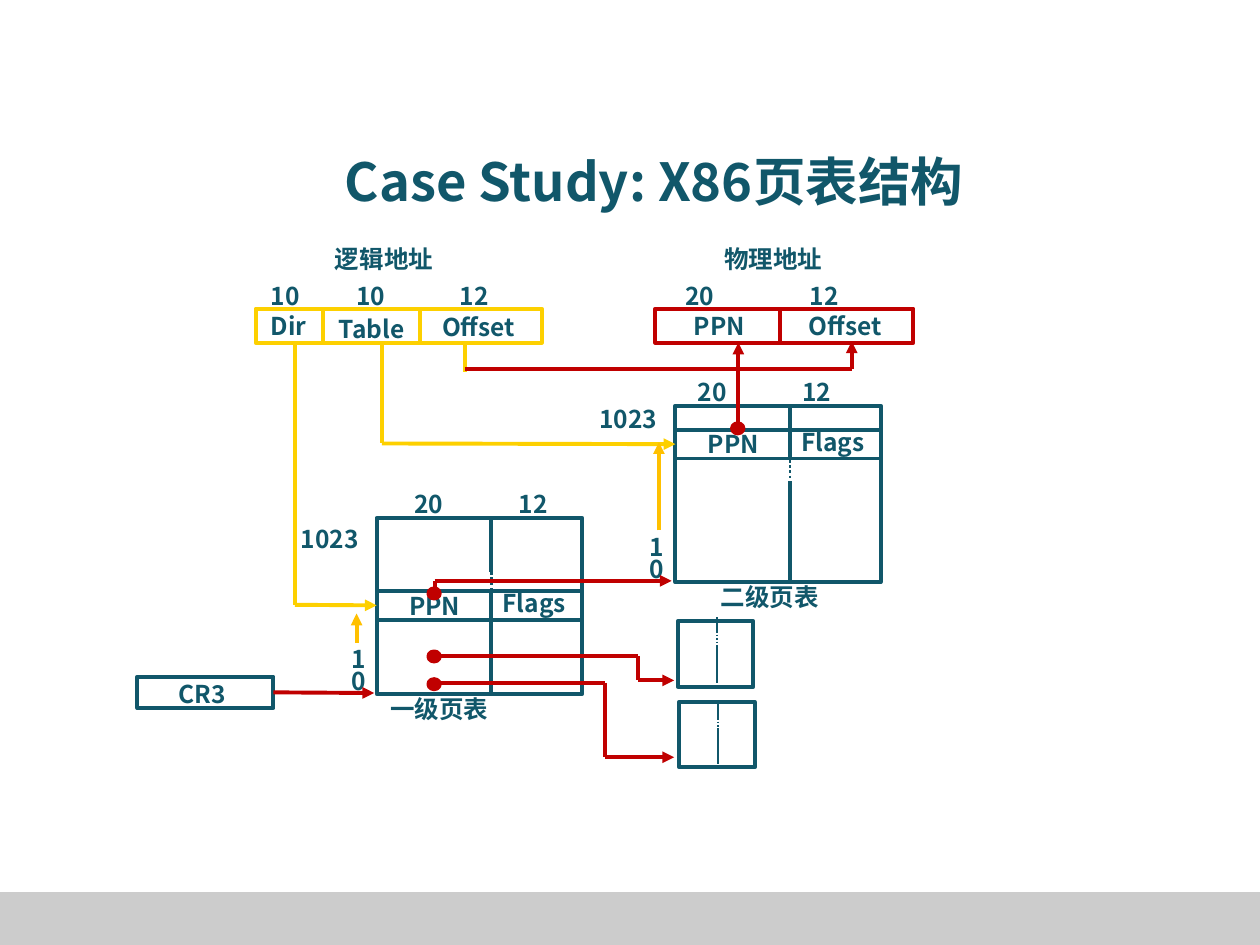
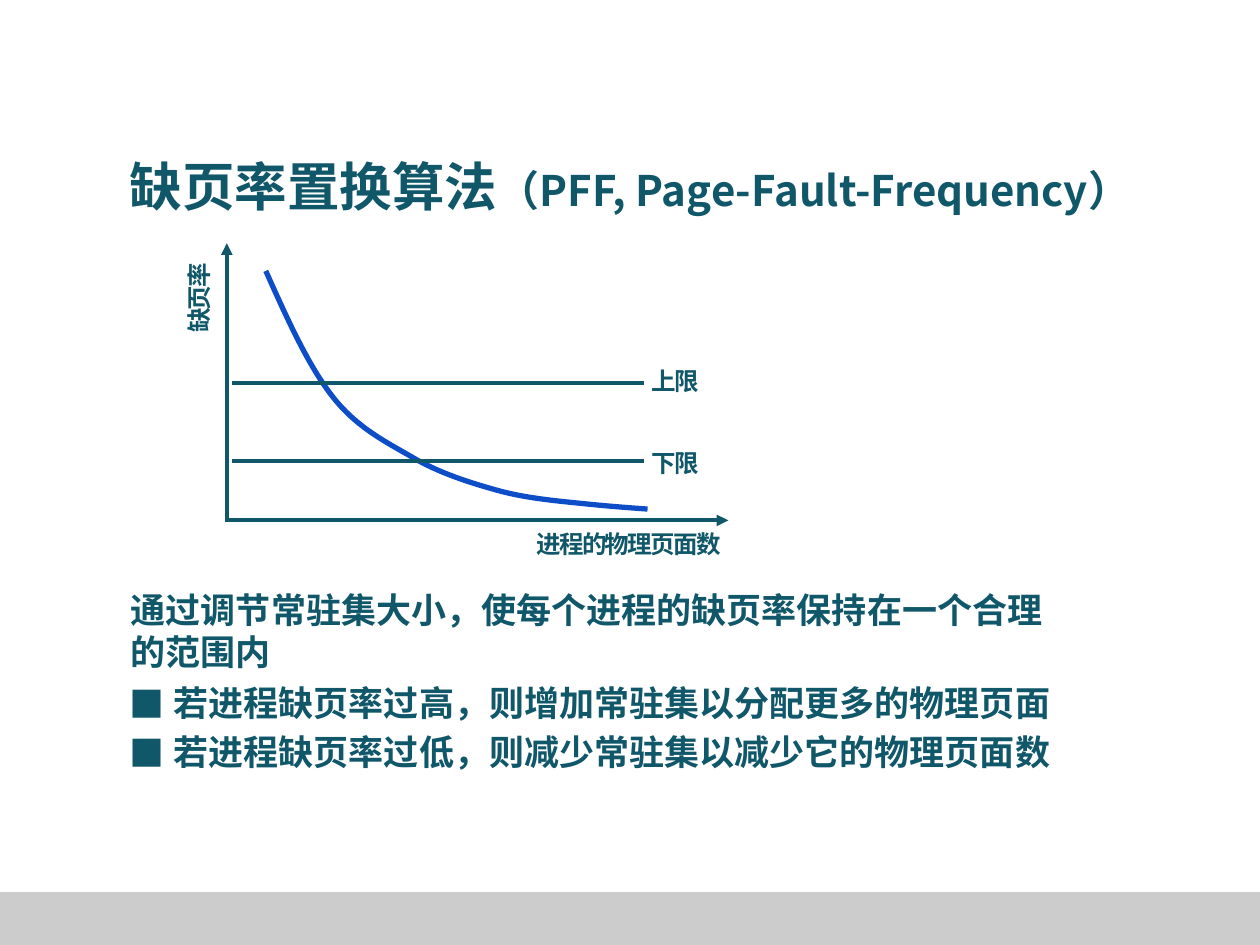
import pptx
import pptx.dml.color
import pptx.enum.dml
import pptx.enum.shapes
import pptx.enum.text
import pptx.oxml.ns
import pptx.util
from lxml import etree

Inches = pptx.util.Inches
Pt = pptx.util.Pt
RGBColor = pptx.dml.color.RGBColor
SHAPES = pptx.enum.shapes.MSO_SHAPE
qn = pptx.oxml.ns.qn

TEAL = RGBColor(0x11, 0x57, 0x6A)
RED = RGBColor(0xC0, 0x00, 0x00)
YELLOW = RGBColor(0xFD, 0xD0, 0x00)
AMBER = RGBColor(0xFF, 0xC0, 0x00)
BLUE = RGBColor(0x0E, 0x4D, 0xC8)
GREY = RGBColor(0xCC, 0xCC, 0xCC)
FONT = "Noto Sans CJK SC"
BULLET_FONT = "Noto Sans CJK JP"

# Width of each label's text box, in inches
LABEL_WIDTHS = {
    "1": 0.32, "0": 0.32, "10": 0.44, "12": 0.44, "20": 0.44,
    "Dir": 0.5, "PPN": 0.63, "Flags": 0.71, "Table": 0.72, "Offset": 0.81,
    "1023": 1.02, "CR3": 1.02, "二级页表": 1.88, "一级页表": 2.22,
    "逻辑地址": 2.22, "物理地址": 2.39,
    "上限": 0.58, "下限": 0.58, "缺页率": 0.44, "进程的物理页面数": 1.69,
}


class Painter:
    """Holds the shared style and draws on the current page."""

    def __init__(self, deck):
        self.deck = deck
        self.page = None

    def new_page(self, title, left, top, width, height, line_spacing=1.0):
        """title is a list of (text, size) pairs."""
        self.page = self.deck.slides.add_slide(self.deck.slide_layouts[5])
        self.box(0, 7.08, 10, 0.42, fill=GREY)
        holder = self.page.shapes.title
        holder.left, holder.top = Inches(left), Inches(top)
        holder.width, holder.height = Inches(width), Inches(height)
        frame = holder.text_frame
        frame.auto_size = pptx.enum.text.MSO_AUTO_SIZE.NONE
        frame.vertical_anchor = pptx.enum.text.MSO_ANCHOR.TOP
        para = frame.paragraphs[0]
        para.alignment = pptx.enum.text.PP_ALIGN.CENTER
        para.line_spacing = line_spacing
        for words, size in title:
            span = para.add_run()
            span.text = words
            self.style(span, size)

    def style(self, span, size, spacing=None):
        span.font.size = Pt(size)
        span.font.bold = True
        span.font.name = FONT
        span.font.color.rgb = TEAL
        properties = span.font._element
        etree.SubElement(properties, qn("a:ea")).set("typeface", FONT)
        if spacing is not None:
            properties.set("spc", str(spacing * 100))

    def text(self, words, left, top, width, height, size, wrap=True, spacing=None):
        box = self.page.shapes.add_textbox(
            Inches(left), Inches(top), Inches(width), Inches(height))
        frame = box.text_frame
        frame.word_wrap = wrap
        frame.text = words
        self.style(frame.paragraphs[0].runs[0], size, spacing)
        return frame

    def label(self, words, left, top, height=0.34, spacing=None):
        width = LABEL_WIDTHS[words]
        wrap = width > 1 and spacing is None
        return self.text(words, left, top, width, height, 14, wrap, spacing)

    def bullet(self, words, left, top, width, height):
        frame = self.text(words, left, top, width, height, 20)
        properties = frame.paragraphs[0]._p.get_or_add_pPr()
        indent = Inches(0.35)
        properties.set("marL", str(indent))
        properties.set("indent", str(-indent))
        etree.SubElement(properties, qn("a:buFont")).set("typeface", BULLET_FONT)
        etree.SubElement(properties, qn("a:buChar")).set("char", "■")

    def box(self, left, top, width, height, line=None, fill=None, kind=SHAPES.RECTANGLE):
        shape = self.page.shapes.add_shape(
            kind, Inches(left), Inches(top), Inches(width), Inches(height))
        shape.shadow.inherit = False
        if fill is None:
            shape.fill.background()
        else:
            shape.fill.solid()
            shape.fill.fore_color.rgb = fill
        if line is None:
            shape.line.fill.background()
        else:
            shape.line.color.rgb = line
            shape.line.width = Pt(2.25)
        return shape

    def dot(self, left, top):
        self.box(left, top, 0.09, 0.08, RED, RED, SHAPES.OVAL)

    def line(self, start, end, color=TEAL, width=2.25, arrow=False, dotted=False):
        line = self.page.shapes.add_connector(
            pptx.enum.shapes.MSO_CONNECTOR.STRAIGHT,
            Inches(start[0]), Inches(start[1]), Inches(end[0]), Inches(end[1]))
        line.line.color.rgb = color
        line.line.width = Pt(width)
        if dotted:
            line.line.dash_style = pptx.enum.dml.MSO_LINE.ROUND_DOT
        if arrow:
            outline = line.line._get_or_add_ln()
            etree.SubElement(outline, qn("a:tailEnd")).set("type", "triangle")
        etree.SubElement(line._element.spPr, qn("a:effectLst"))
        return line

    def route(self, points, color):
        """Draws legs through the points, the last one with an arrowhead."""
        last = len(points) - 2
        legs = [self.line(start, end, color, arrow=index == last)
                for index, (start, end) in enumerate(zip(points, points[1:]))]
        return legs[-1]

    def split_line(self, x, stops, width, dot_width):
        """Draws a vertical rule whose middle part is dotted."""
        for index, (top, bottom) in enumerate(zip(stops, stops[1:])):
            dotted = index == 1
            self.line((x, top), (x, bottom), TEAL,
                      dot_width if dotted else width, dotted=dotted)

    def curve(self, points, color, width):
        """Draws cubic segments: a start, then three points for each segment."""
        builder = self.page.shapes.build_freeform(
            Inches(points[0][0]), Inches(points[0][1]))
        builder.add_line_segments(
            [(Inches(x), Inches(y)) for x, y in points[1:]], close=False)
        shape = builder.convert_to_shape()
        outline = next(shape._element.iter(qn("a:path")))
        legs = outline.findall(qn("a:lnTo"))
        for first in range(0, len(legs), 3):
            segment = etree.SubElement(outline, qn("a:cubicBezTo"))
            for leg in legs[first:first + 3]:
                segment.append(leg[0])
                outline.remove(leg)
        shape.shadow.inherit = False
        shape.fill.background()
        shape.line.color.rgb = color
        shape.line.width = Pt(width)

    def address(self, left, width, dividers, color, fields):
        """Draws an address; fields are (bits, bits left, name, name left, name top)."""
        self.box(left, 2.45, width, 0.27, color)
        for x in dividers:
            self.line((x, 2.46), (x, 2.72), color)
        for bits, bits_left, name, name_left, name_top in fields:
            self.label(bits, bits_left, 2.18)
            self.label(name, name_left, name_top)

    def page_table(self, left, top, row_top, bits_left, index_top, caption, caption_left):
        """Draws a page table and returns its highlighted entry."""
        self.box(left, top, 1.63, 1.4, TEAL)
        entry = self.box(left, row_top, 1.63, 0.23, TEAL)
        self.split_line(left + 0.91, [top + step for step in (0, 0.43, 0.6, 1.4)], 2.25, 1.5)
        self.label("20", bits_left, top - 0.28)
        self.label("12", bits_left + 0.83, top - 0.28)
        self.label("PPN", left + 0.16, row_top - 0.05)
        self.label("Flags", left + 0.9, row_top - 0.07)
        self.label("1023", left - 0.7, index_top)
        for digit, drop in (("1", 0.95), ("0", 1.13)):
            self.label(digit, left - 0.3, top + drop)
        self.label(caption, caption_left, top + 1.35)
        return entry


def draw_page_tables(painter):
    painter.new_page([("Case Study: X86页表结构", 30)], 1.87, 1.17, 6.64, 0.58, 0.95)

    # Logical and physical addresses
    painter.label("逻辑地址", 2.56, 1.89)
    painter.address(2.03, 2.27, (2.56, 3.33), YELLOW, [
        ("10", 2.05, "Dir", 2.05, 2.42),
        ("10", 2.73, "Table", 2.59, 2.44),
        ("12", 3.55, "Offset", 3.41, 2.43)])
    painter.label("物理地址", 5.65, 1.89)
    painter.address(5.2, 2.05, (6.19,), RED, [
        ("20", 5.34, "PPN", 5.41, 2.42),
        ("12", 6.33, "Offset", 6.32, 2.42)])

    # Both levels of page tables and the CR3 register
    second_entry = painter.page_table(5.36, 3.22, 3.41, 5.44, 3.16, "二级页表", 5.62)
    first_entry = painter.page_table(2.99, 4.11, 4.69, 3.19, 4.11, "一级页表", 3.0)
    register = painter.box(1.09, 5.37, 1.08, 0.25, TEAL)
    painter.label("CR3", 1.32, 5.34)

    # Further second-level tables
    for left, top, stops in ((5.38, 4.93, (4.9, 5.01, 5.13, 5.42)),
                             (5.39, 5.57, (5.59, 5.7, 5.78, 6.06))):
        painter.box(left, top, 0.6, 0.52, TEAL)
        painter.split_line(left + 0.31, stops, 1, 1)

    # Logical address to table entries
    painter.route([(3.03, 2.71), (3.03, 3.52), (5.36, 3.52)], YELLOW).end_connect(second_entry, 1)
    painter.route([(2.34, 2.72), (2.34, 4.8), (2.99, 4.8)], YELLOW).end_connect(first_entry, 1)
    painter.route([(2.83, 5.1), (2.83, 4.87)], AMBER)
    painter.route([(5.23, 4.21), (5.23, 3.51)], AMBER)

    # Offset and page number to physical address
    painter.line((3.69, 2.71), (3.69, 2.95), YELLOW)
    painter.route([(3.69, 2.93), (6.76, 2.93), (6.76, 2.71)], RED)
    painter.route([(5.86, 3.42), (5.86, 2.72)], RED)
    painter.dot(5.81, 3.36)

    # Register and first-level entries to tables
    painter.route([(2.17, 5.5), (2.97, 5.5)], RED).begin_connect(register, 3)
    painter.route([(3.45, 4.73), (3.45, 4.61), (5.33, 4.61)], RED)
    painter.route([(3.49, 5.21), (5.06, 5.21), (5.06, 5.4), (5.35, 5.4)], RED)
    painter.route([(3.49, 5.42), (4.8, 5.42), (4.8, 6.01), (5.35, 6.01)], RED)
    for top in (4.67, 5.17, 5.39):
        painter.dot(3.4, top)


def draw_fault_frequency(painter):
    painter.new_page([("缺页率置换算法", 30), ("（PFF, Page-Fault-Frequency）", 24)],
                     0, 1.17, 10, 0.61)

    # Axes
    painter.line((1.79, 4.13), (5.78, 4.13), arrow=True)
    painter.line((1.8, 4.14), (1.8, 1.93), arrow=True)
    across = painter.label("进程的物理页面数", 4.16, 4.2, 0.29, spacing=-1)
    across.paragraphs[0].line_spacing = Pt(13)
    upward = painter.label("缺页率", 1.41, 2.09, 0.65, spacing=-1)
    upward._txBody.bodyPr.set("vert", "vert270")

    # Fault rate and its limits
    painter.curve([
        (2.11, 2.15), (2.28, 2.53), (2.45, 2.91), (2.65, 3.16),
        (2.85, 3.41), (3.09, 3.52), (3.31, 3.65),
        (3.53, 3.77), (3.76, 3.84), (3.98, 3.9),
        (4.21, 3.96), (4.47, 3.98), (4.66, 4.0),
        (4.86, 4.02), (5.0, 4.03), (5.14, 4.04)], BLUE, 3)
    for name, y, label_top in (("上限", 3.04, 2.86), ("下限", 3.66, 3.51)):
        painter.line((1.84, y), (5.11, y))
        painter.label(name, 5.07, label_top, spacing=-1)

    # Explanation
    painter.text("通过调节常驻集大小，使每个进程的缺页率保持在一个合理的范围内",
                 0.94, 4.62, 7.45, 0.77, 20)
    for row, words in enumerate(("若进程缺页率过高，则增加常驻集以分配更多的物理页面",
                                 "若进程缺页率过低，则减少常驻集以减少它的物理页面数")):
        painter.bullet(words, 0.93, 5.36 + 0.39 * row, 7.51, 0.44)


def main():
    deck = pptx.Presentation()
    deck.slide_width, deck.slide_height = Inches(10), Inches(7.5)
    painter = Painter(deck)
    draw_page_tables(painter)
    draw_fault_frequency(painter)
    deck.save("out.pptx")


if __name__ == "__main__":
    main()
